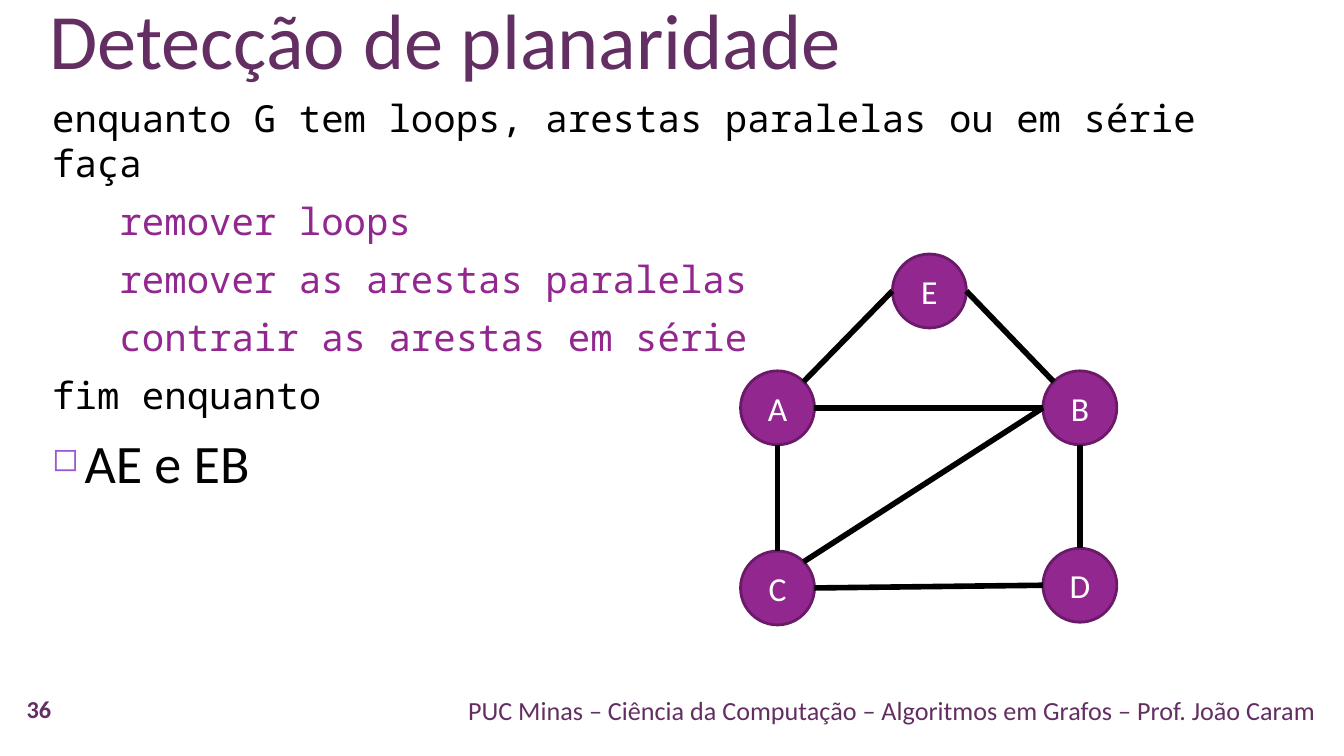
import math

from lxml import etree
from pptx import Presentation
from pptx import util as u
from pptx.dml.color import RGBColor
from pptx.enum import shapes, text
from pptx.oxml import ns

PLUM = "632E62"
PURPLE = "92278F"
DARK_PURPLE = "6A1A68"
BULLET = "9B57D3"
BLACK = "000000"
WHITE = "FFFFFF"

ALIGN = text.PP_ALIGN
ANCHOR = text.MSO_ANCHOR

SLIDE_WIDTH = u.Inches(10)
SLIDE_HEIGHT = SLIDE_WIDTH * 9 // 16

NODE_SIZE = 0.55
# Node positions relative to the graph's box
NODES = {"E": (1.13, 0), "A": (0, 0.87), "B": (2.25, 0.87), "C": (0, 2.21), "D": (2.25, 2.19)}
# Each edge leaves and reaches its nodes at an angle, clockwise from the right
EDGES = [
    ("B", 180, "C", 315),
    ("B", 90, "D", 270),
    ("D", 180, "C", 0),
    ("B", 180, "A", 0),
    ("C", 270, "A", 90),
    ("E", 180, "A", 315),
    ("B", 225, "E", 0),
]

CODE = [
    ("enquanto G tem loops, arestas paralelas ou em série faça", BLACK),
    ("   remover loops", PURPLE),
    ("   remover as arestas paralelas", PURPLE),
    ("   contrair as arestas em série", PURPLE),
    ("fim enquanto", BLACK),
]


def rgb(value):
    return RGBColor.from_string(value)


def inches(*lengths):
    return [u.Inches(length) for length in lengths]


def add_bullet(para, char, color, percent, indent):
    props = para._p.get_or_add_pPr()
    props.set("marL", str(u.Inches(indent)))
    props.set("indent", str(-u.Inches(indent)))
    bullet_color = etree.SubElement(props, ns.qn("a:buClr"))
    etree.SubElement(bullet_color, ns.qn("a:srgbClr"), val=color)
    etree.SubElement(props, ns.qn("a:buSzPct"), val=str(percent * 1000))
    etree.SubElement(props, ns.qn("a:buChar"), char=char)


def write(para, content, size, color, font="Calibri", bold=False,
          align=ALIGN.LEFT, before=0, spacing=None):
    para.alignment = align
    para.space_before = u.Pt(before)
    if spacing:
        para.line_spacing = spacing
    span = para.add_run()
    span.text = content
    span.font.size = u.Pt(size)
    span.font.name = font
    span.font.bold = bold
    span.font.color.rgb = rgb(color)


def add_box(page, box, anchor):
    frame = page.shapes.add_textbox(*inches(*box)).text_frame
    frame.word_wrap = True
    frame.vertical_anchor = anchor
    return frame


def add_line_of_text(page, box, content, anchor=ANCHOR.MIDDLE, **style):
    write(add_box(page, box, anchor).paragraphs[0], content, **style)


def add_body(page, box):
    frame = add_box(page, box, ANCHOR.TOP)
    for index, (line, color) in enumerate(CODE):
        para = frame.add_paragraph() if index else frame.paragraphs[0]
        write(para, line, 20, color, font="Noto Sans Mono", before=7 if index else 0)
    para = frame.add_paragraph()
    add_bullet(para, "◻", BULLET, 60, 0.24)
    write(para, "AE e EB", 29, BLACK, before=7)


def add_node(page, left, top, label):
    node = page.shapes.add_shape(
        shapes.MSO_SHAPE.OVAL, *inches(left, top, NODE_SIZE, NODE_SIZE))
    node.shadow.inherit = False
    node.fill.solid()
    node.fill.fore_color.rgb = rgb(PURPLE)
    node.line.color.rgb = rgb(DARK_PURPLE)
    node.line.width = u.Pt(1.5)
    node.text_frame.vertical_anchor = ANCHOR.MIDDLE
    write(node.text_frame.paragraphs[0], label, 18, WHITE, align=ALIGN.CENTER)


def rim_point(left, top, angle):
    """Point on the rim of a node at the given angle in degrees."""
    radius = NODE_SIZE / 2
    turn = math.radians(angle)
    return left + radius * (1 + math.cos(turn)), top + radius * (1 + math.sin(turn))


def add_edge(page, start, end):
    edge = page.shapes.add_connector(
        shapes.MSO_CONNECTOR.STRAIGHT, *inches(*start, *end))
    edge.line.color.rgb = rgb(BLACK)
    edge.line.width = u.Pt(3)
    etree.SubElement(edge._element.spPr, ns.qn("a:effectLst"))


def add_graph(page, left, top):
    places = {name: (left + x, top + y) for name, (x, y) in NODES.items()}
    for name, place in places.items():
        add_node(page, *place, name)
    for first, first_angle, second, second_angle in EDGES:
        add_edge(page, rim_point(*places[first], first_angle),
                 rim_point(*places[second], second_angle))


def add_footer(page, top):
    add_line_of_text(
        page, (0.67, top, 9.22, 0.3),
        "PUC Minas – Ciência da Computação – Algoritmos em Grafos – Prof. João Caram",
        size=14, color=PLUM, align=ALIGN.RIGHT)
    add_line_of_text(page, (0, top, 0.58, 0.31), "36", size=13, color=PLUM,
                     bold=True, align=ALIGN.CENTER, spacing=0.9)


def main():
    deck = Presentation()
    deck.slide_width, deck.slide_height = SLIDE_WIDTH, SLIDE_HEIGHT
    page = deck.slides.add_slide(deck.slide_layouts[6])
    add_footer(page, 5.13)
    add_body(page, (0.29, 0.66, 9.22, 3.58))
    add_line_of_text(page, (0.27, -0.42, 8.92, 1.1), "Detecção de planaridade",
                     anchor=ANCHOR.BOTTOM, size=42, color=PLUM)
    add_graph(page, 5.51, 1.89)
    deck.save("out.pptx")


if __name__ == "__main__":
    main()
